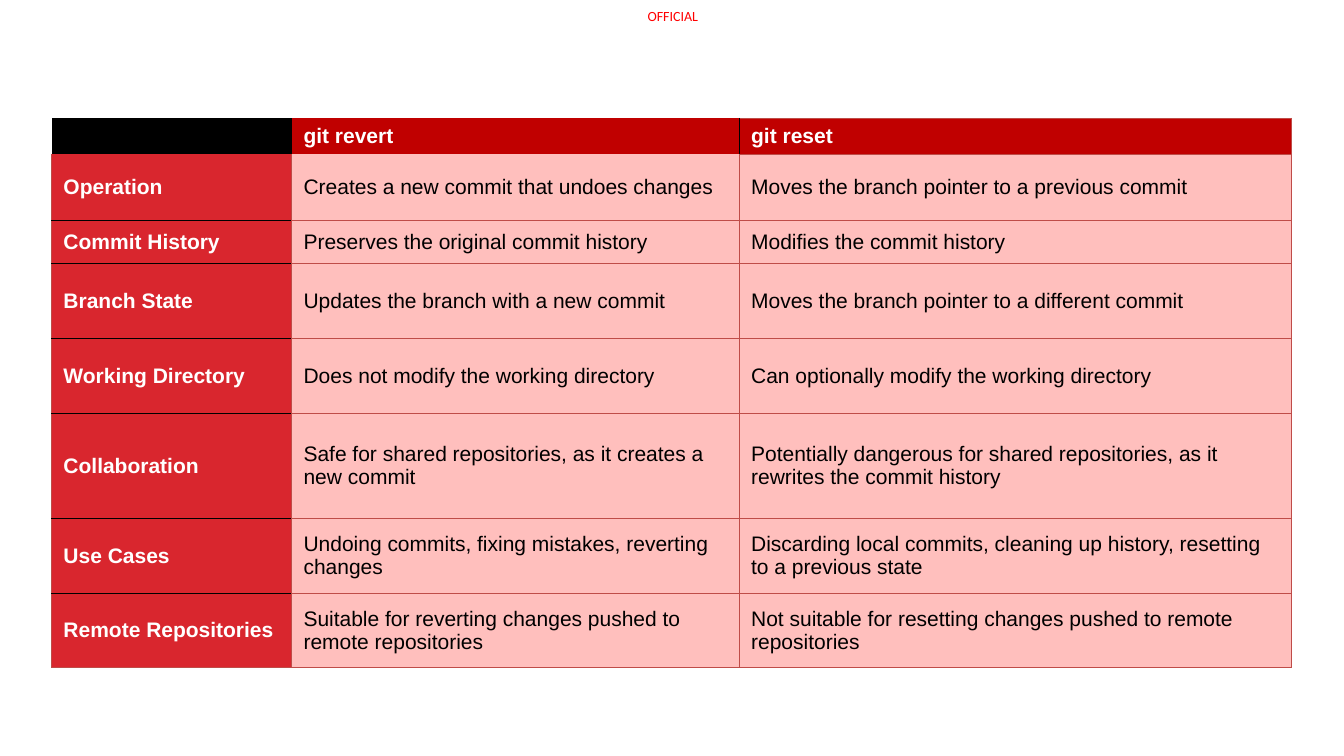
"""Builds a slide comparing git revert with git reset in a table."""
import lxml.etree
import pptx
import pptx.dml.color
import pptx.enum.text
import pptx.oxml.ns
import pptx.util

Cm, Pt = pptx.util.Cm, pptx.util.Pt

COLOURS = {
    "black": "000000", "white": "FFFFFF", "marking": "FF0000", "header": "C00000",
    "label": "D9262E", "body": "FFBFBD", "rule": "BF4C48",
}
RULE, DARK = ("rule", 0.75), ("black", 1)

COLUMN_WIDTHS = [6.05, 11.28, 13.92]
ROW_HEIGHTS = [0.9, 1.67, 1.09, 1.89, 1.88, 2.65, 1.89, 1.88]
COMPARISON = [
    ("", "git revert", "git reset"),
    ("Operation", "Creates a new commit that undoes changes",
     "Moves the branch pointer to a previous commit"),
    ("Commit History", "Preserves the original commit history", "Modifies the commit history"),
    ("Branch State", "Updates the branch with a new commit",
     "Moves the branch pointer to a different commit"),
    ("Working Directory", "Does not modify the working directory",
     "Can optionally modify the working directory"),
    ("Collaboration", "Safe for shared repositories, as it creates a new commit",
     "Potentially dangerous for shared repositories, as it rewrites the commit history"),
    ("Use Cases", "Undoing commits, fixing mistakes, reverting changes",
     "Discarding local commits, cleaning up history, resetting to a previous state"),
    ("Remote Repositories", "Suitable for reverting changes pushed to remote repositories",
     "Not suitable for resetting changes pushed to remote repositories"),
]


def cell_style(row, column):
    if row == 0:
        borders = [
            {},
            {"R": DARK},
            {"L": DARK, "R": RULE, "T": RULE, "B": RULE},
        ][column]
        return ("header" if column else "black"), "white", borders
    borders = dict.fromkeys("LRTB", RULE)
    if column == 0:
        borders["T"] = DARK
        if row < len(COMPARISON) - 1:
            borders["B"] = DARK
    if row == 1 and column < 2:
        del borders["T"]
    return ("body", "black", borders) if column else ("label", "white", borders)


class SlideBuilder:
    def __init__(self, slide, font, size):
        self.slide, self.font, self.size = slide, font, size

    def colour(self, name):
        return pptx.dml.color.RGBColor.from_string(COLOURS[name])

    def add_words(self, paragraph, words, colour, bold=False, font=None, size=None):
        run = paragraph.add_run()
        run.text = words
        run.font.name = font or self.font
        run.font.size = Pt(size or self.size)
        run.font.bold = bold
        run.font.color.rgb = self.colour(colour)

    def marking(self, words, left, top, width, height):
        box = self.slide.shapes.add_textbox(Cm(left), Cm(top), Cm(width), Cm(height))
        frame = box.text_frame
        frame.word_wrap = True
        frame.margin_left = frame.margin_right = frame.margin_top = frame.margin_bottom = 0
        paragraph = frame.paragraphs[0]
        paragraph.alignment = pptx.enum.text.PP_ALIGN.CENTER
        self.add_words(paragraph, words, "marking", font="Calibri", size=10)

    def borders(self, cell, borders):
        properties = cell._tc.get_or_add_tcPr()
        qn = pptx.oxml.ns.qn
        for side in "LRTB":
            line = lxml.etree.SubElement(properties, qn(f"a:ln{side}"))
            if side not in borders:
                lxml.etree.SubElement(line, qn("a:noFill"))
                continue
            colour, width = borders[side]
            line.set("w", str(int(Pt(width))))
            fill = lxml.etree.SubElement(line, qn("a:solidFill"))
            lxml.etree.SubElement(fill, qn("a:srgbClr"), val=COLOURS[colour])

    def cell(self, cell, words, fill, ink, borders):
        self.borders(cell, borders)
        cell.fill.solid()
        cell.fill.fore_color.rgb = self.colour(fill)
        cell.vertical_anchor = pptx.enum.text.MSO_ANCHOR.MIDDLE
        cell.margin_left = cell.margin_right = Cm(0.3)
        cell.margin_top = cell.margin_bottom = Cm(0.13 if words else 0)
        if words:
            self.add_words(cell.text_frame.paragraphs[0], words, ink, bold=ink == "white")

    def table(self, left, top, widths, heights, content):
        table = self.slide.shapes.add_table(
            len(heights), len(widths), Cm(left), Cm(top), Cm(sum(widths)), Cm(sum(heights))
        ).table
        for column, width in zip(table.columns, widths):
            column.width = Cm(width)
        for row, height in zip(table.rows, heights):
            row.height = Cm(height)
        for r, entries in enumerate(content):
            for c, words in enumerate(entries):
                self.cell(table.cell(r, c), words, *cell_style(r, c))


def main():
    presentation = pptx.Presentation()
    presentation.slide_width, presentation.slide_height = Cm(33.87), Cm(19.05)
    slide = presentation.slides.add_slide(presentation.slide_layouts[6])
    builder = SlideBuilder(slide, "Arial", 15)
    builder.marking("OFFICIAL", 16.23, 0.18, 1.45, 0.43)
    builder.table(1.3, 2.98, COLUMN_WIDTHS, ROW_HEIGHTS, COMPARISON)
    presentation.save("out.pptx")


if __name__ == "__main__":
    main()
